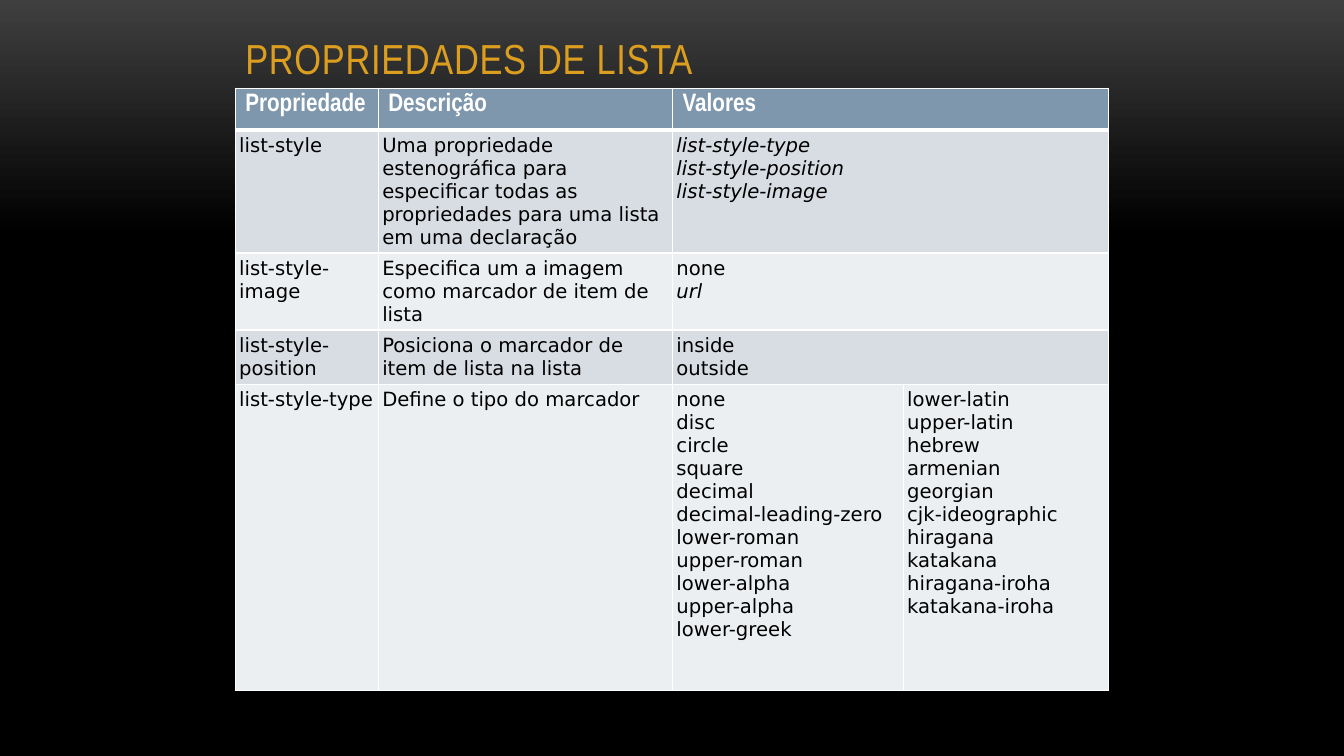
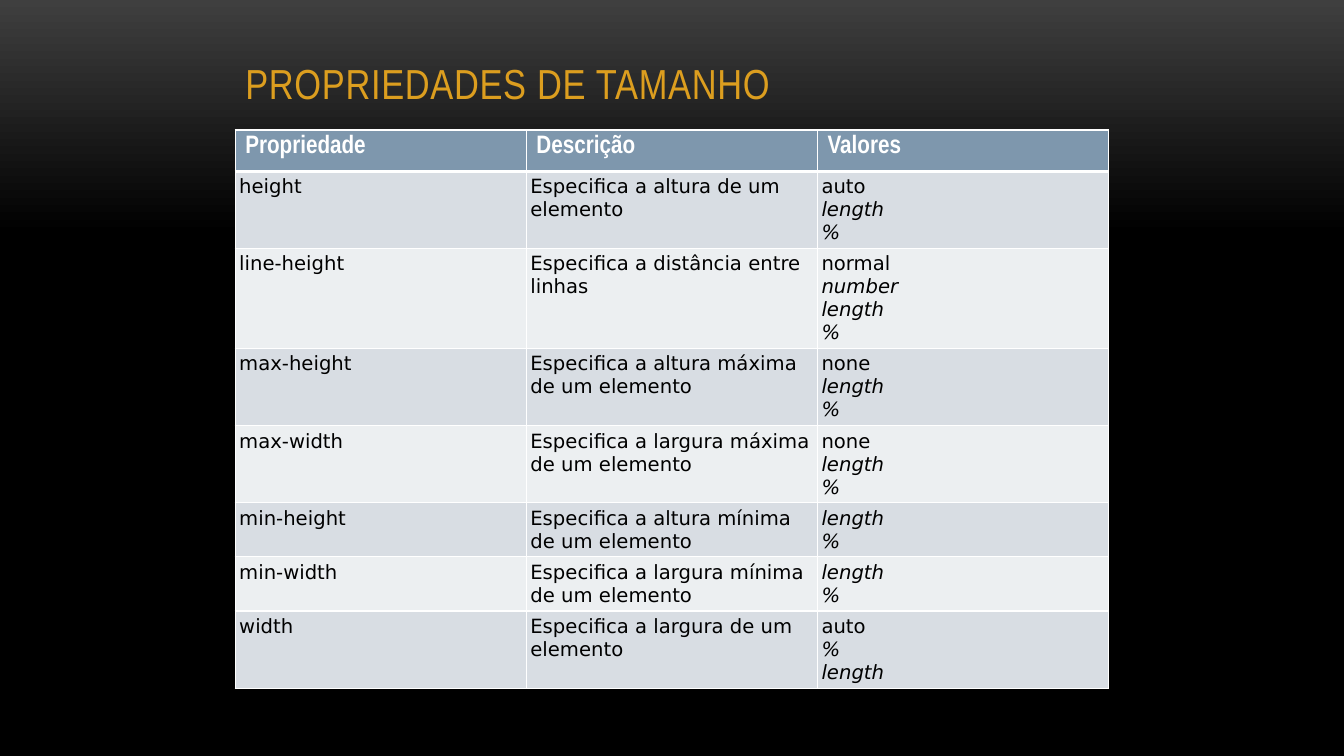
from copy import deepcopy
from dataclasses import dataclass

from lxml.etree import SubElement
from pptx import Presentation
from pptx.dml.color import RGBColor as Rgb
from pptx.enum.text import MSO_ANCHOR as Anchor, MSO_AUTO_SIZE as AutoSize, PP_ALIGN as Align
from pptx.oxml.ns import qn
from pptx.util import Inches, Pt

COLORS = {
    "glow": "3F3F3F", "night": "000000", "title": "DC9E1F", "header": "7E97AD",
    "odd": "D8DDE3", "even": "ECEFF1", "line": "FFFFFF", "text": "000000",
}
HEAD_FONT, BODY_FONT = "Arial Narrow", "DejaVu Sans"
SLIDE_WIDTH, SLIDE_HEIGHT = Inches(13.33), Inches(7.5)
LEFT, WIDTH = int(SLIDE_WIDTH * 0.175), int(SLIDE_WIDTH * 0.65)
TITLE_TOP = int(SLIDE_HEIGHT * 0.04)
HEADER_HEIGHT, TEXT_LINE, INSET = Inches(0.41), Pt(16.4), Inches(0.04)
HEADINGS = ("Propriedade", "Descrição", "Valores")


@dataclass(frozen=True)
class Values:
    """Keywords in upright type, followed by placeholders in italics."""
    plain: str = ""
    italic: str = ""


@dataclass(frozen=True)
class Row:
    lines: int
    name: str
    description: str
    values: tuple[Values, ...]


@dataclass(frozen=True)
class TablePage:
    title: str
    title_height: float  # share of the slide height
    table_top: float  # share of the slide height
    columns: tuple[float, ...]  # relative widths
    rows: tuple[Row, ...]


PAGES = (
    TablePage("PROPRIEDADES DE LISTA", 0.077, 0.117, (1.42, 2.92, 2.29, 2.04), (
        Row(5, "list-style",
            "Uma propriedade estenográfica para especificar todas as propriedades "
            "para uma lista em uma declaração",
            (Values(italic="list-style-type\nlist-style-position\nlist-style-image"),)),
        Row(3, "list-style-image", "Especifica um a imagem como marcador de item de lista",
            (Values("none", "url"),)),
        Row(2, "list-style-position", "Posiciona o marcador de item de lista na lista",
            (Values("inside\noutside"),)),
        Row(13, "list-style-type", "Define o tipo do marcador", (
            Values("none\ndisc\ncircle\nsquare\ndecimal\ndecimal-leading-zero\n"
                   "lower-roman\nupper-roman\nlower-alpha\nupper-alpha\nlower-greek"),
            Values("lower-latin\nupper-latin\nhebrew\narmenian\ngeorgian\n"
                   "cjk-ideographic\nhiragana\nkatakana\nhiragana-iroha\nkatakana-iroha"),
        )),
    )),
    TablePage("PROPRIEDADES DE TAMANHO", 0.109, 0.172, (1, 1, 1), (
        Row(3, "height", "Especifica a altura de um elemento", (Values("auto", "length\n%"),)),
        Row(4, "line-height", "Especifica a distância entre linhas",
            (Values("normal", "number\nlength\n%"),)),
        Row(3, "max-height", "Especifica a altura máxima de um elemento",
            (Values("none", "length\n%"),)),
        Row(3, "max-width", "Especifica a largura máxima de um elemento",
            (Values("none", "length\n%"),)),
        Row(2, "min-height", "Especifica a altura mínima de um elemento",
            (Values(italic="length\n%"),)),
        Row(2, "min-width", "Especifica a largura mínima de um elemento",
            (Values(italic="length\n%"),)),
        Row(3, "width", "Especifica a largura de um elemento", (Values("auto", "%\nlength"),)),
    )),
)


def color(name: str) -> Rgb:
    return Rgb.from_string(COLORS[name])


def write(para, text: str, *, font: str, size: float, ink: str, bold: bool = False,
          italic: bool = False, spacing: float = 0) -> None:
    """Append text to a paragraph, turning each newline into a line break."""
    for line in text.split("\n"):
        if para.runs:
            para.add_line_break()
        span = para.add_run()
        span.text = line
        span.font.name, span.font.size = font, Pt(size)
        span.font.bold, span.font.italic = bold, italic
        span.font.color.rgb = color(ink)
        if spacing:
            span.font._element.set("spc", str(int(spacing * 100)))


def paint_background(master) -> None:
    fill = master.background.fill
    fill.gradient()
    fill.gradient_angle = 270
    first, last = fill.gradient_stops
    first.position, last.position = 0, 1
    first.color.rgb, last.color.rgb = color("glow"), color("night")
    middle = deepcopy(last._gs)
    middle.set("pos", "31000")
    last._gs.addprevious(middle)


def style_cell(cell, fill: str, *, top: float = 1, bottom: float = 1) -> None:
    """Borders come before the fill, as the file format demands."""
    properties = cell._tc.get_or_add_tcPr()
    for side, width in (("L", 1), ("R", 1), ("T", top), ("B", bottom)):
        border = SubElement(properties, qn(f"a:ln{side}"), w=str(Pt(width)))
        solid = SubElement(border, qn("a:solidFill"))
        SubElement(solid, qn("a:srgbClr"), val=COLORS["line"])
    cell.fill.solid()
    cell.fill.fore_color.rgb = color(fill)


def add_title(slide, page: TablePage) -> None:
    box = slide.shapes.title
    box.left, box.top, box.width = LEFT, TITLE_TOP, WIDTH
    box.height = int(SLIDE_HEIGHT * page.title_height)
    frame = box.text_frame
    frame.auto_size, frame.word_wrap = AutoSize.NONE, True
    frame.vertical_anchor = Anchor.BOTTOM
    para = frame.paragraphs[0]
    para.alignment = Align.LEFT
    write(para, page.title, font=HEAD_FONT, size=30, ink="title", spacing=0.5)


def fill_header(table) -> None:
    for cell in table.rows[0].cells:
        style_cell(cell, "header", bottom=3)
    for column, heading in enumerate(HEADINGS):
        write(table.cell(0, column).text_frame.paragraphs[0], heading,
              font=HEAD_FONT, size=18, ink="line", bold=True)


def fill_row(table, index: int, row: Row) -> None:
    contents = (Values(row.name), Values(row.description), *row.values)
    for cell in table.rows[index].cells:
        style_cell(cell, "odd" if index % 2 else "even", top=3 if index == 1 else 1)
        cell.margin_left = cell.margin_right = cell.margin_top = cell.margin_bottom = INSET
    for column, content in enumerate(contents):
        para = table.cell(index, column).text_frame.paragraphs[0]
        for text, italic in ((content.plain, False), (content.italic, True)):
            if text:
                write(para, text, font=BODY_FONT, size=14, ink="text", italic=italic)


def add_property_table(slide, page: TablePage) -> None:
    heights = [HEADER_HEIGHT] + [row.lines * TEXT_LINE + 2 * INSET for row in page.rows]
    table = slide.shapes.add_table(
        len(heights), len(page.columns), LEFT, int(SLIDE_HEIGHT * page.table_top),
        WIDTH, sum(heights)).table
    table.horz_banding = False
    for column, share in zip(table.columns, page.columns):
        column.width = int(WIDTH * share / sum(page.columns))
    for row, height in zip(table.rows, heights):
        row.height = height
    fill_header(table)
    for index, row in enumerate(page.rows, start=1):
        fill_row(table, index, row)
    last = len(page.columns) - 1
    value_counts = [1] + [len(row.values) for row in page.rows]
    for index, count in enumerate(value_counts):
        if count + 1 < last:
            table.cell(index, count + 1).merge(table.cell(index, last))


def main() -> None:
    deck = Presentation()
    deck.slide_width, deck.slide_height = SLIDE_WIDTH, SLIDE_HEIGHT
    paint_background(deck.slide_master)
    title_only = deck.slide_layouts.get_by_name("Title Only")
    for page in PAGES:
        slide = deck.slides.add_slide(title_only)
        add_title(slide, page)
        add_property_table(slide, page)
    deck.save("out.pptx")


if __name__ == "__main__":
    main()
